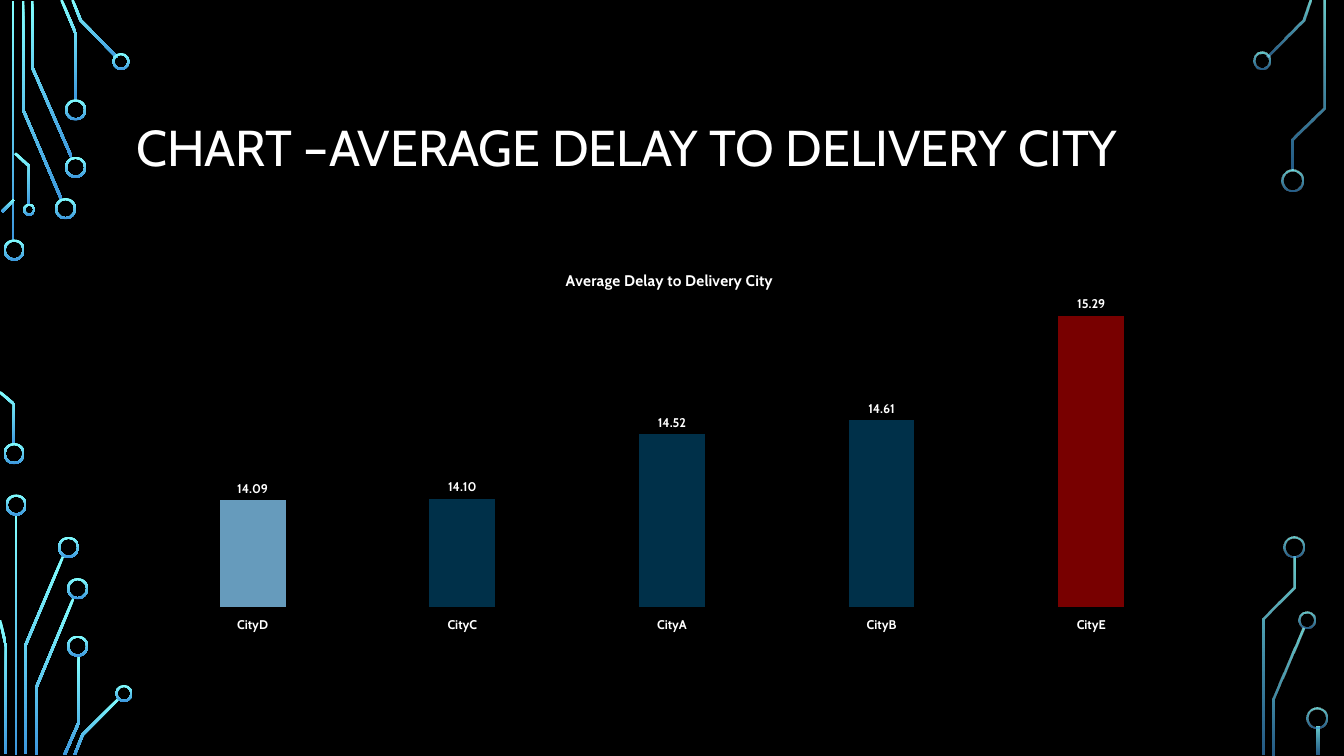
import math

import lxml.etree
import pptx
import pptx.chart.data
import pptx.dml.color
import pptx.enum.chart
import pptx.enum.shapes
import pptx.enum.text
import pptx.oxml
import pptx.oxml.ns
import pptx.util

COLORS = {
    "background": "000000", "text": "FFFFFF",
    "glow": "82FFFF", "deep": "3D97DE",
    "lowest": "669BBC", "middle": "003049", "highest": "780000",
}
FONT = "Cabin"
CELL = pptx.util.Inches(0.01)  # grid of 100 cells to the inch
HALF_TRACE = 1.25
RING_WIDTH = 2


def format_font(font, size, bold=False):
    font.name, font.size, font.bold = FONT, pptx.util.Pt(size), bold
    font.color.rgb = pptx.dml.color.RGBColor.from_string(COLORS["text"])


def write_text(text_frame, text, size, bold=False, align=None, spacing=None):
    text_frame.text = text
    paragraph = text_frame.paragraphs[0]
    paragraph.alignment = align
    paragraph.line_spacing = spacing
    format_font(paragraph.runs[0].font, size, bold)


presentation = pptx.Presentation()
presentation.slide_width = 1333 * CELL
presentation.slide_height = 750 * CELL
slide = presentation.slides.add_slide(presentation.slide_layouts[5])
slide.background.fill.solid()
slide.background.fill.fore_color.rgb = pptx.dml.color.RGBColor.from_string(COLORS["background"])

# Circuit decoration: centre lines of traces, then rings as (x, y, diameter), in cells
left_traces = [
    [(13, 1), (13, 240)],
    [(23, 1), (23, 109), (61, 198)],
    [(32, 1), (32, 67), (71, 156)],
    [(61, 0), (75, 33), (75, 100)],
    [(72, 0), (80, 20), (116, 57)],
    [(2, 210), (14, 198)],
    [(0, 389), (14, 401), (14, 441)],
    [(15, 152), (29, 165), (29, 203)],
    [(16, 510), (16, 749)],
    [(63, 551), (25, 641), (25, 748)],
    [(0, 615), (6, 641), (6, 748)],
    [(73, 593), (36, 682), (36, 749)],
    [(78, 650), (78, 717), (64, 749)],
    [(118, 693), (82, 729), (74, 749)],
]
right_traces = [
    [(1300, 0), (1293, 20), (1257, 56)],
    [(1293, 623), (1263, 693), (1263, 749)],
    [(1313, 1), (1313, 107), (1282, 138), (1282, 169)],
    [(1284, 552), (1284, 583), (1253, 614), (1253, 749)],
    [(1307, 721), (1307, 749)],
]
left_rings = [
    (14, 248, 21), (14, 450, 21), (65, 207, 21), (75, 166, 21),
    (75, 109, 21), (120, 61, 17), (29, 208, 12), (16, 501, 21),
    (68, 543, 21), (77, 584, 21), (77, 641, 21), (123, 688, 17),
]
right_rings = [
    (1252, 60, 17), (1282, 179, 21), (1296, 615, 17),
    (1283, 543, 21), (1306, 712, 21),
]
sides = [
    (left_traces, left_rings, (100, 100)),
    (right_traces, right_rings, (80, 60)),
]

for traces, rings, opacities in sides:
    circuit = []
    for trace in traces:
        # Normals of each segment, doubled at the ends, give mitred edges
        normals = []
        for (x1, y1), (x2, y2) in zip(trace, trace[1:]):
            length = math.hypot(x2 - x1, y2 - y1)
            normals.append(((y1 - y2) / length, (x2 - x1) / length))
        edges = {1: [], -1: []}
        for (x, y), (ax, ay), (bx, by) in zip(trace, normals[:1] + normals, normals + normals[-1:]):
            reach = HALF_TRACE / (1 + ax * bx + ay * by)
            for side, edge in edges.items():
                edge.append(((x + side * reach * (ax + bx)) * CELL,
                             (y + side * reach * (ay + by)) * CELL))
        outline = edges[1] + edges[-1][::-1]
        builder = slide.shapes.build_freeform(*outline[0])
        builder.add_line_segments(outline[1:], close=True)
        circuit.append(builder.convert_to_shape())

    for x, y, diameter in rings:
        ring = slide.shapes.add_shape(
            pptx.enum.shapes.MSO_SHAPE.DONUT,
            int((x - diameter / 2) * CELL), int((y - diameter / 2) * CELL),
            diameter * CELL, diameter * CELL)
        ring.adjustments[0] = RING_WIDTH / diameter
        circuit.append(ring)

    for shape in circuit:
        shape.shadow.inherit = False
        shape.line.fill.background()
        shape.fill.gradient()
        shape.fill.gradient_angle = 270
        for stop, name, opacity in zip(shape.fill.gradient_stops, ("glow", "deep"), opacities):
            stop.color.rgb = pptx.dml.color.RGBColor.from_string(COLORS[name])
        for color, opacity in zip(shape.element.spPr.iter(pptx.oxml.ns.qn("a:srgbClr")), opacities):
            if opacity < 100:
                alpha = lxml.etree.SubElement(color, pptx.oxml.ns.qn("a:alpha"))
                alpha.set("val", str(opacity * 1000))

# Title
title = slide.shapes.title
title.left, title.top, title.width, title.height = (n * CELL for n in (125, 68, 1083, 162))
title.text_frame.word_wrap = True
title.text_frame.vertical_anchor = pptx.enum.text.MSO_ANCHOR.MIDDLE
write_text(title.text_frame, "CHART –AVERAGE DELAY TO DELIVERY CITY", size=36,
           align=pptx.enum.text.PP_ALIGN.LEFT, spacing=0.9)

# Column chart
delays = {"CityD": 14.09, "CityC": 14.10, "CityA": 14.52, "CityB": 14.61, "CityE": 15.29}
chart_data = pptx.chart.data.CategoryChartData(number_format="0.00")
chart_data.categories = list(delays)
chart_data.add_series("Series 1", list(delays.values()))
chart = slide.shapes.add_chart(
    pptx.enum.chart.XL_CHART_TYPE.COLUMN_CLUSTERED,
    *(n * CELL for n in (125, 246, 1083, 387)), chart_data).chart
format_font(chart.font, 10)
chart.has_legend = False
chart.has_title = True
write_text(chart.chart_title.text_frame, "Average Delay to Delivery City", size=11, bold=True)

# Axes
chart.value_axis.visible = False
chart.value_axis.has_major_gridlines = False
chart.value_axis.minimum_scale = 13.4
chart.value_axis.maximum_scale = 15.4
chart.category_axis.format.line.fill.background()
format_font(chart.category_axis.tick_labels.font, 9, bold=True)

# Columns and their labels
plot = chart.plots[0]
plot.gap_width, plot.overlap, plot.vary_by_categories = 219, -27, False
for index, city in enumerate(delays):
    rank = {min(delays.values()): "lowest", max(delays.values()): "highest"}
    fill = plot.series[0].points[index].format.fill
    fill.solid()
    fill.fore_color.rgb = pptx.dml.color.RGBColor.from_string(
        COLORS[rank.get(delays[city], "middle")])
plot.has_data_labels = True
labels = plot.data_labels
labels.show_value = True
labels.position = pptx.enum.chart.XL_LABEL_POSITION.OUTSIDE_END
labels.number_format, labels.number_format_is_linked = "0.00", False
format_font(labels.font, 9, bold=True)

# Places of the chart title and plot area, as shares of the chart
chart_element = chart.element.find(pptx.oxml.ns.qn("c:chart"))
placements = [
    ("c:title", 1, {"xMode": "edge", "yMode": "edge", "x": 0.4, "y": 0.05}),
    ("c:plotArea", 0, {"layoutTarget": "inner", "xMode": "edge", "yMode": "edge",
                       "x": 0.02, "y": 0.13, "w": 0.96, "h": 0.79}),
]
for tag, position, settings in placements:
    part = chart_element.find(pptx.oxml.ns.qn(tag))
    for old_layout in part.findall(pptx.oxml.ns.qn("c:layout")):
        part.remove(old_layout)
    layout = lxml.etree.Element(pptx.oxml.ns.qn("c:layout"))
    manual = lxml.etree.SubElement(layout, pptx.oxml.ns.qn("c:manualLayout"))
    for name, value in settings.items():
        lxml.etree.SubElement(manual, pptx.oxml.ns.qn("c:" + name)).set("val", str(value))
    part.insert(position, layout)

presentation.save("out.pptx")
